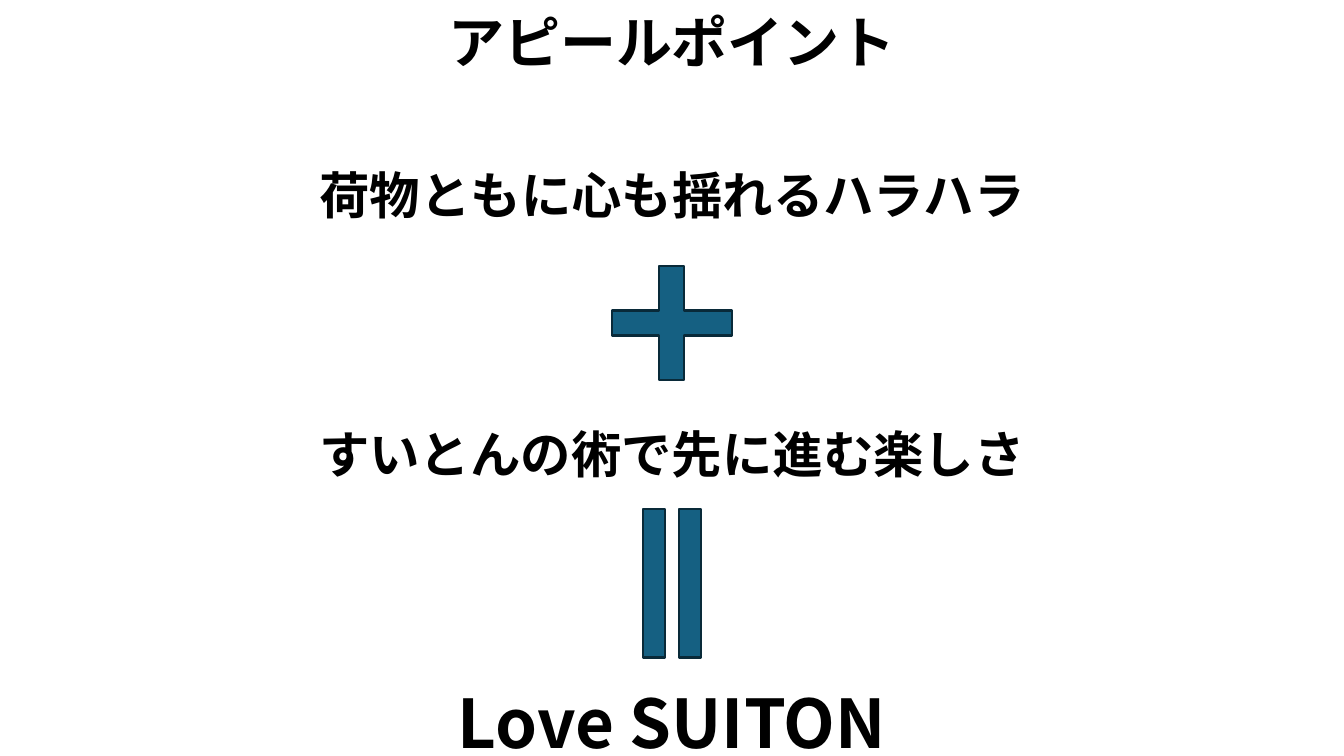
from lxml import etree
from pptx import Presentation
from pptx.dml.color import RGBColor
from pptx.enum.shapes import MSO_SHAPE as Preset
from pptx.enum.text import MSO_ANCHOR as Anchor, MSO_AUTO_SIZE as AutoSize, PP_ALIGN as Align
from pptx.oxml.ns import qn
from pptx.util import Pt

COLORS = {"text": "000000", "symbol": "156082", "outline": "092A39"}
FONT = "Noto Sans CJK JP"
SLIDE_WIDTH, SLIDE_HEIGHT = 960, 540


def color(key):
    return RGBColor.from_string(COLORS[key])


def centred_left(width):
    return Pt((SLIDE_WIDTH - width) / 2)


def write_line(box, text, size, top, width, height):
    """Place a box on the slide's centre line and fill it with one bold line."""
    box.left, box.top = centred_left(width), Pt(top)
    box.width, box.height = Pt(width), Pt(height)
    frame = box.text_frame
    frame.word_wrap = False
    frame.auto_size = AutoSize.NONE
    frame.vertical_anchor = Anchor.MIDDLE
    paragraph = frame.paragraphs[0]
    paragraph.alignment = Align.CENTER
    paragraph.line_spacing = 1.0
    run = paragraph.add_run()
    run.text = text
    font = run.font
    font.name, font.size, font.bold = FONT, Pt(size), True
    font.color.rgb = color("text")
    # Japanese glyphs take the East Asian typeface
    east_asian = etree.SubElement(run._r.get_or_add_rPr(), qn("a:ea"))
    east_asian.set("typeface", FONT)


def add_message(slide, text, size, top, width, height):
    box = slide.shapes.add_textbox(0, 0, Pt(width), Pt(height))
    write_line(box, text, size, top, width, height)


def add_symbol(slide, preset, top, width, height, adjustments, rotation=0):
    symbol = slide.shapes.add_shape(
        preset, centred_left(width), Pt(top), Pt(width), Pt(height))
    for index, value in enumerate(adjustments):
        symbol.adjustments[index] = value
    symbol.rotation = rotation
    symbol.shadow.inherit = False
    symbol.fill.solid()
    symbol.fill.fore_color.rgb = color("symbol")
    symbol.line.color.rgb = color("outline")
    symbol.line.width = Pt(1.5)


def main():
    deck = Presentation()
    deck.slide_width, deck.slide_height = Pt(SLIDE_WIDTH), Pt(SLIDE_HEIGHT)
    slide = deck.slides.add_slide(deck.slide_layouts[5])

    # Heading
    write_line(slide.shapes.title, "アピールポイント", 40, 1.5, 337.5, 55.5)

    # The two appeals and their result
    add_message(slide, "荷物ともに心も揺れるハラハラ", 36, 113, 523.5, 51)
    add_message(slide, "すいとんの術で先に進む楽しさ", 36, 298, 523.5, 51)
    add_message(slide, "Love SUITON", 48, 483, 334, 65.5)

    # Plus sign, and equals sign turned upright
    add_symbol(slide, Preset.MATH_PLUS, 175, 116.5, 111.5, [0.16])
    add_symbol(slide, Preset.MATH_EQUAL, 373.5, 144, 86.5, [0.182, 0.118], rotation=90)

    deck.save("out.pptx")


if __name__ == "__main__":
    main()
